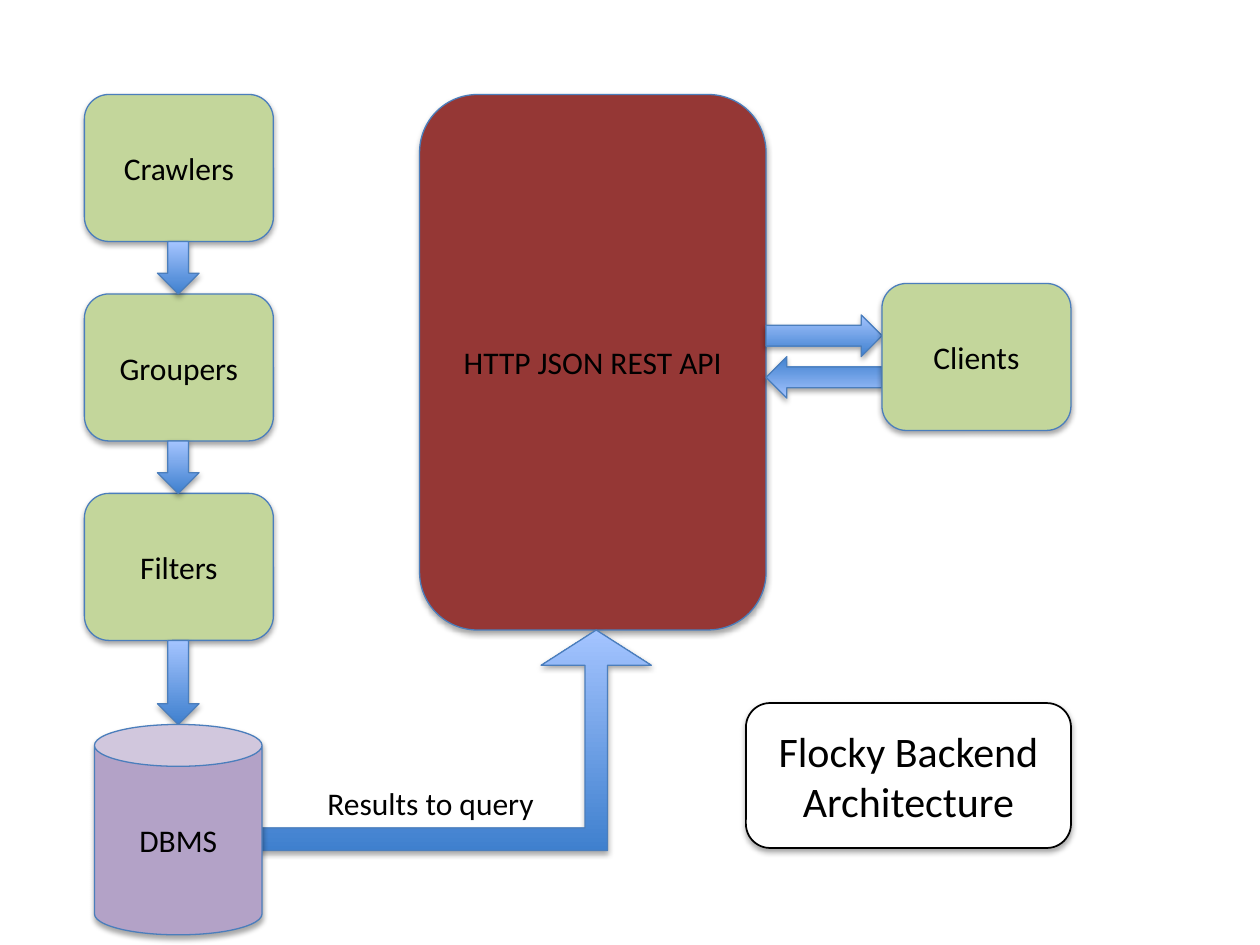
from lxml import etree
from pptx import Presentation
from pptx import util as u
from pptx.dml.color import RGBColor
from pptx.enum import shapes, text
from pptx.oxml import ns

KIND = shapes.MSO_SHAPE
GREEN, RED, PURPLE, WHITE, BLACK = "C3D69B", "953735", "B3A2C7", "FFFFFF", "000000"
BLUE_LINE, BLUE_DARK, BLUE_LIGHT = "4B7EBC", "3F80CE", "A4C4FF"


def color(value):
    return RGBColor.from_string(value)


def add_part(kind, left, top, width, height, fill=None, label="", size=18,
             line=BLUE_LINE, weight=0.75):
    """Add a shape with a soft shadow; without a fill colour it gets the blue gradient."""
    part = slide.shapes.add_shape(kind, *map(u.Inches, (left, top, width, height)))
    if fill:
        part.fill.solid()
        part.fill.fore_color.rgb = color(fill)
    else:
        part.fill.gradient()
        part.fill.gradient_angle = 90
        for stop, position, shade in zip(part.fill.gradient_stops, (0, 1), (BLUE_DARK, BLUE_LIGHT)):
            stop.position = position
            stop.color.rgb = color(shade)
    part.line.color.rgb = color(line)
    part.line.width = u.Pt(weight)

    part.shadow.inherit = False
    effects = part._element.spPr.find(ns.qn("a:effectLst"))
    shadow = etree.SubElement(effects, ns.qn("a:outerShdw"), blurRad="40000", dist="23000",
                              dir="5400000", rotWithShape="0")
    shade = etree.SubElement(shadow, ns.qn("a:srgbClr"), val=BLACK)
    etree.SubElement(shade, ns.qn("a:alpha"), val="35000")

    if label:
        frame = part.text_frame
        frame.text = label
        frame.vertical_anchor = text.MSO_ANCHOR.MIDDLE
        para = frame.paragraphs[0]
        para.alignment = text.PP_ALIGN.CENTER
        font = para.runs[0].font
        font.name, font.size, font.color.rgb = "Calibri", u.Pt(size), color(BLACK)
    return part


deck = Presentation()
deck.slide_width, deck.slide_height = u.Inches(10), u.Inches(7.5)
slide = deck.slides.add_slide(deck.slide_layouts[6])

# API block
add_part(KIND.ROUNDED_RECTANGLE, 3.33, 0.75, 2.75, 4.25, RED, "HTTP JSON REST API")

# Processing steps, each with an arrow down to the next part
STEP_TOP, STEP_PITCH, STEP_HEIGHT, DATABASE_TOP = 0.75, 1.583, 1.167, 5.75
steps = ("Crawlers", "Groupers", "Filters")
tops = [STEP_TOP + i * STEP_PITCH for i in range(len(steps))]
for step, top in zip(steps, tops):
    add_part(KIND.ROUNDED_RECTANGLE, 0.67, top, 1.5, STEP_HEIGHT, GREEN, step)
for top, next_top in zip(tops, tops[1:] + [DATABASE_TOP]):
    bottom = top + STEP_HEIGHT
    add_part(KIND.DOWN_ARROW, 1.25, bottom, 0.33, next_top - bottom)

# Database and its path to the API
query_arrow = add_part(KIND.BENT_UP_ARROW, 2, 5, 3.17, 1.75)
for i, value in enumerate((0.102, 0.25, 0.16)):
    query_arrow.adjustments[i] = value
add_part(KIND.CAN, 0.75, DATABASE_TOP, 1.33, 1.67, PURPLE, "DBMS")

# Exchange between API and clients
for top, rotation in ((2.5, 0), (2.83, 180)):
    add_part(KIND.RIGHT_ARROW, 6.08, top, 0.92, 0.33).rotation = rotation

# Label of the query path
box = slide.shapes.add_textbox(*map(u.Inches, (2.5, 6.17, 1.86, 0.4)))
box.text_frame.word_wrap = False
box.text_frame.auto_size = text.MSO_AUTO_SIZE.SHAPE_TO_FIT_TEXT
para = box.text_frame.paragraphs[0]
para.text = "Results to query"
font = para.runs[0].font
font.name, font.size, font.color.rgb = "Calibri", u.Pt(18), color(BLACK)

# Clients and caption
add_part(KIND.ROUNDED_RECTANGLE, 7, 2.25, 1.5, STEP_HEIGHT, GREEN, "Clients")
add_part(KIND.ROUNDED_RECTANGLE, 5.92, 5.58, 2.58, 1.15, WHITE,
         "Flocky Backend Architecture", 24, BLACK, 1)

deck.save("out.pptx")
